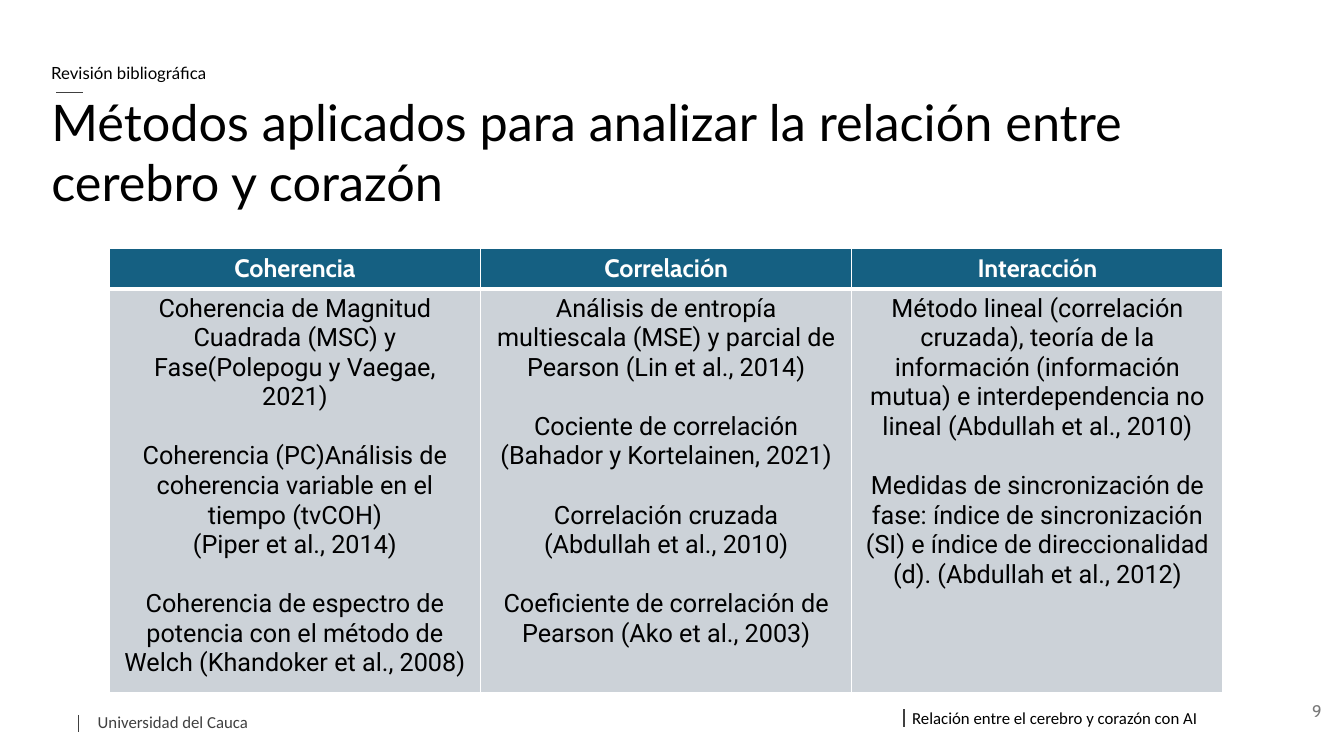
"""Build the slide on methods for analysing the brain and heart relation."""
from dataclasses import dataclass

from lxml import etree
from pptx import Presentation
from pptx.dml.color import RGBColor
from pptx.enum.shapes import MSO_CONNECTOR
from pptx.enum.text import MSO_ANCHOR, MSO_AUTO_SIZE, PP_ALIGN
from pptx.oxml.ns import qn
from pptx.util import Pt

STRAIGHT = MSO_CONNECTOR.STRAIGHT
TOP, MIDDLE = MSO_ANCHOR.TOP, MSO_ANCHOR.MIDDLE
LEFT, CENTER, RIGHT = PP_ALIGN.LEFT, PP_ALIGN.CENTER, PP_ALIGN.RIGHT
NO_FIT = MSO_AUTO_SIZE.NONE

TITLE = "Métodos aplicados para analizar la relación entre cerebro y corazón"
SECTION = "Revisión bibliográfica"
PAGE_NUMBER = "9"
FOOTERS = [
    ("Universidad del Cauca", "404040", (69.1, 506.9, 190, 16)),
    ("Relación entre el cerebro y corazón con AI", "000000", (650.9, 504, 216, 16)),
]
METHODS = {
    "Coherencia": [
        ["Coherencia de Magnitud Cuadrada (MSC) y Fase(Polepogu y Vaegae, 2021)"],
        ["Coherencia (PC)Análisis de coherencia variable en el tiempo (tvCOH)",
         "(Piper et al., 2014)"],
        ["Coherencia de espectro de potencia con el método de Welch "
         "(Khandoker et al., 2008)"],
    ],
    "Correlación": [
        ["Análisis de entropía multiescala (MSE) y parcial de Pearson (Lin et al., 2014)"],
        ["Cociente de correlación (Bahador y Kortelainen, 2021)"],
        ["Correlación cruzada", "(Abdullah et al., 2010)"],
        ["Coeficiente de correlación de", "Pearson (Ako et al., 2003)"],
    ],
    "Interacción": [
        ["Método lineal (correlación cruzada), teoría de la información (información "
         "mutua) e interdependencia no lineal (Abdullah et al., 2010)"],
        ["Medidas de sincronización de fase: índice de sincronización (SI) e índice de "
         "direccionalidad (d). (Abdullah et al., 2012)"],
    ],
}
RULES = [
    (56.2, 510.6, 56.2, 523.2),
    (645.8, 506.6, 645.8, 519.2),
    (40.3, 66.2, 59, 66.2),
]
TABLE_LEFT, TABLE_TOP, TABLE_WIDTH = 78.1, 177.1, 795.6
ROW_HEIGHTS = [29.2, 288.3]
ENTRY_GAP = 21.1


@dataclass(frozen=True)
class Theme:
    """Colours, fonts and type sizes of the slide."""
    ink: str = "000000"
    white: str = "FFFFFF"
    rule: str = "404040"
    muted: str = "797979"
    header: str = "156082"
    body: str = "CCD2D8"
    heading_font: str = "Lato"
    footer_font: str = "Calibri"
    header_font: str = "Cabin"
    body_font: str = "Roboto"
    title_size: float = 36
    table_size: float = 18
    small_size: float = 12


THEME = Theme()


def add_span(para, text, size, font, color, align=LEFT, bold=False):
    """Add one formatted run to a paragraph."""
    para.alignment = align
    span = para.add_run()
    span.text = text
    span.font.size = Pt(size)
    span.font.name = font
    span.font.bold = bold
    span.font.color.rgb = RGBColor.from_string(color)


def add_label(page, text, place, font, color, align=LEFT, anchor=TOP, insets=None):
    """Add a small one-line text box."""
    box = page.shapes.add_textbox(*map(Pt, place))
    frame = box.text_frame
    frame.word_wrap = True
    frame.vertical_anchor = anchor
    if insets:
        (frame.margin_left, frame.margin_top,
         frame.margin_right, frame.margin_bottom) = map(Pt, insets)
    add_span(frame.paragraphs[0], text, THEME.small_size, font, color, align)


def add_rule(page, ends):
    """Draw a thin straight line."""
    rule = page.shapes.add_connector(STRAIGHT, *map(Pt, ends))
    rule.line.color.rgb = RGBColor.from_string(THEME.rule)
    rule.line.width = Pt(1)
    etree.SubElement(rule._element.spPr, qn("a:effectLst"))


def style_cell(cell, fill, bottom):
    """Set the fill and white borders of a cell."""
    properties = cell._tc.get_or_add_tcPr()
    for side, width in (("L", 1), ("R", 1), ("T", 1), ("B", bottom)):
        border = etree.SubElement(properties, qn(f"a:ln{side}"), w=str(Pt(width)))
        solid = etree.SubElement(border, qn("a:solidFill"))
        etree.SubElement(solid, qn("a:srgbClr"), val=THEME.white)
    cell.fill.solid()
    cell.fill.fore_color.rgb = RGBColor.from_string(fill)


def fill_entries(frame, entries):
    """Write the methods of one column, spaced apart by entry."""
    lines = [(text, place) for entry in entries for place, text in enumerate(entry)]
    for index, (text, place) in enumerate(lines):
        para = frame.add_paragraph() if index else frame.paragraphs[0]
        if index and place == 0:
            para.space_before = Pt(ENTRY_GAP)
        add_span(para, text, THEME.table_size, THEME.body_font, THEME.ink, CENTER)


def add_methods(page):
    """Add the table of methods."""
    table = page.shapes.add_table(
        len(ROW_HEIGHTS), len(METHODS), Pt(TABLE_LEFT), Pt(TABLE_TOP),
        Pt(TABLE_WIDTH), Pt(sum(ROW_HEIGHTS))).table
    table.horz_banding = False
    for row, height in zip(table.rows, ROW_HEIGHTS):
        row.height = Pt(height)
    for column, (heading, entries) in enumerate(METHODS.items()):
        table.columns[column].width = Pt(TABLE_WIDTH / len(METHODS))
        head, body = table.cell(0, column), table.cell(1, column)
        style_cell(head, THEME.header, 3)
        style_cell(body, THEME.body, 1)
        add_span(head.text_frame.paragraphs[0], heading, THEME.table_size,
                 THEME.header_font, THEME.white, CENTER, True)
        fill_entries(body.text_frame, entries)


def add_title(page):
    """Place and format the title placeholder."""
    title = page.shapes.title
    title.left, title.top, title.width, title.height = map(Pt, (29.5, 61.2, 878.4, 94.3))
    frame = title.text_frame
    frame.word_wrap = True
    frame.auto_size = NO_FIT
    frame.vertical_anchor = TOP
    add_span(frame.paragraphs[0], TITLE, THEME.title_size, THEME.heading_font, THEME.ink)


def main():
    """Build and save the deck."""
    deck = Presentation()
    deck.slide_width, deck.slide_height = Pt(960), Pt(540)
    page = deck.slides.add_slide(deck.slide_layouts[5])
    add_title(page)
    for ends in RULES:
        add_rule(page, ends)
    for text, color, place in FOOTERS:
        add_label(page, text, place, THEME.footer_font, color, insets=(0.7, 1.7, 0, 0))
    add_methods(page)
    add_label(page, PAGE_NUMBER, (735.1, 493.2, 216, 28.8), THEME.header_font,
              THEME.muted, RIGHT, MIDDLE)
    add_label(page, SECTION, (29.5, 41, 480.2, 36), THEME.heading_font, THEME.ink)
    deck.save("out.pptx")


if __name__ == "__main__":
    main()
